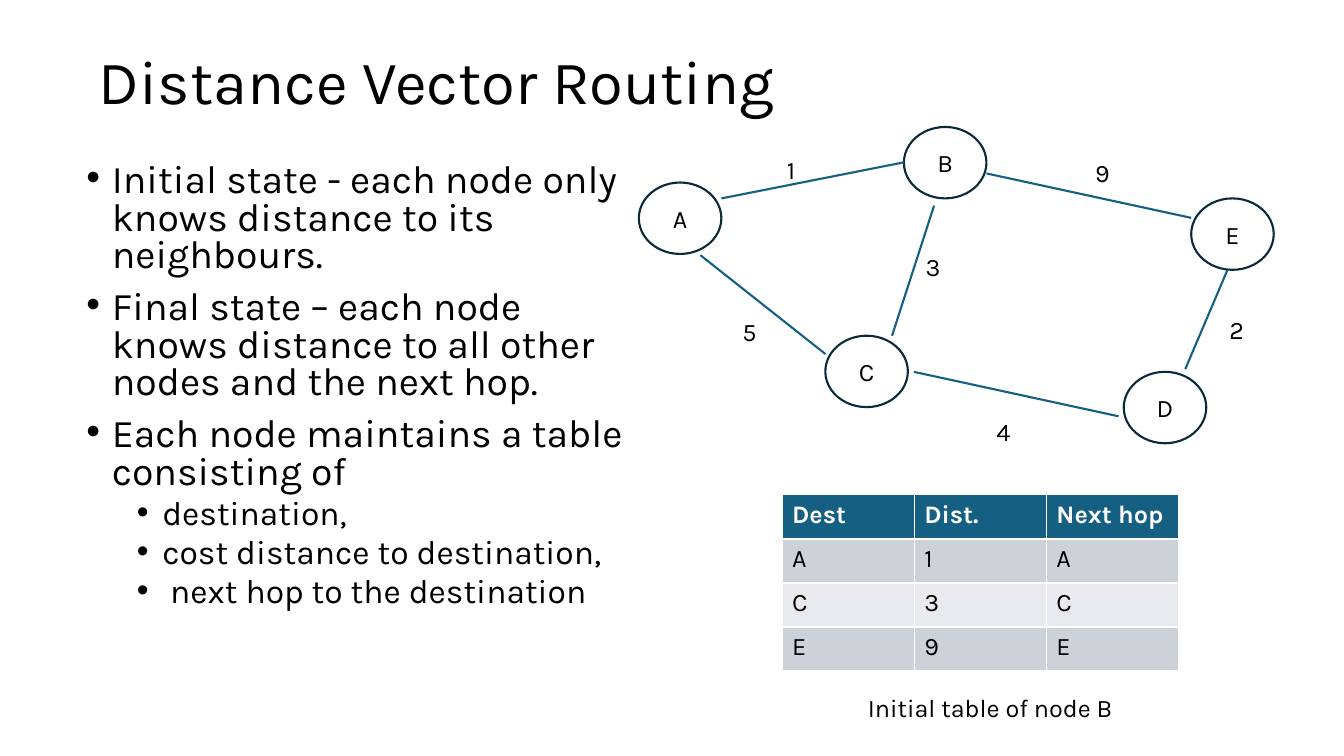
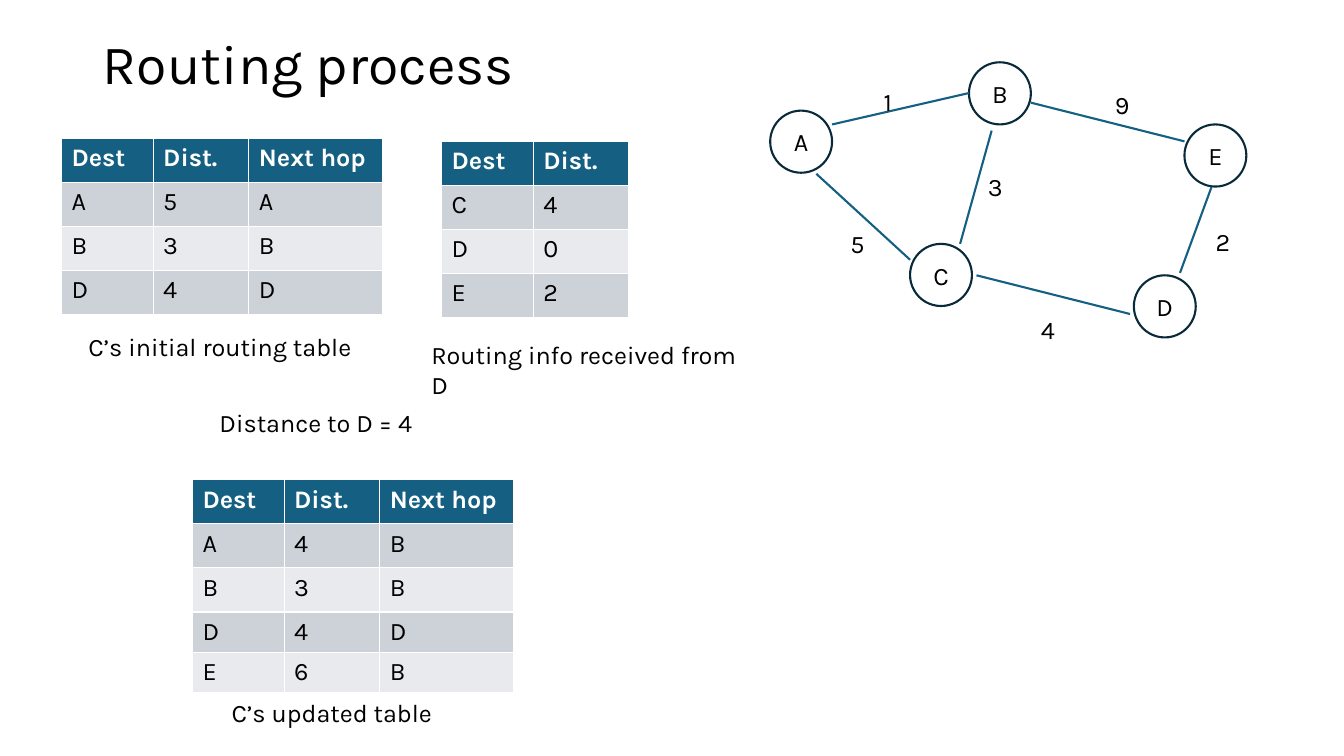
from dataclasses import dataclass

from lxml import etree
from pptx import Presentation
from pptx.dml.color import RGBColor
from pptx.enum.shapes import MSO_CONNECTOR, MSO_SHAPE
from pptx.enum.text import MSO_ANCHOR, MSO_AUTO_SIZE, PP_ALIGN
from pptx.oxml.ns import qn
from pptx.slide import Slide
from pptx.util import Cm, Pt

LINE = MSO_CONNECTOR.STRAIGHT
OVAL = MSO_SHAPE.OVAL
MIDDLE = MSO_ANCHOR.MIDDLE
GROW = MSO_AUTO_SIZE.SHAPE_TO_FIT_TEXT
FIXED = MSO_AUTO_SIZE.NONE
LEFT = PP_ALIGN.LEFT
CENTER = PP_ALIGN.CENTER

FONT = "Karla"
BLACK = "000000"
WHITE = "FFFFFF"
TEAL = "156082"
NAVY = "092A39"
BANDS = ("CCD2D8", "E8EAED")
TITLE_ONLY = 5
SIZE = 18
STROKE = 1.5
ROW = 1.11
LOW_ROW = 1.0
NODE_W, NODE_H = 2.08, 1.8
LABEL_W, LABEL_H = 1.45, 1.02


@dataclass(frozen=True)
class Box:
    left: float
    top: float
    width: float
    height: float

    def cm(self) -> tuple[Cm, Cm, Cm, Cm]:
        return Cm(self.left), Cm(self.top), Cm(self.width), Cm(self.height)


@dataclass(frozen=True)
class Node:
    name: str
    x: float
    y: float


@dataclass(frozen=True)
class Edge:
    cost: str
    x1: float
    y1: float
    x2: float
    y2: float
    text_x: float
    text_y: float


@dataclass(frozen=True)
class Frame:
    left: float
    top: float
    wide: float = 1.0
    high: float = 1.0

    def point(self, x: float, y: float) -> tuple[float, float]:
        return self.left + x * self.wide, self.top + y * self.high

    def box(self, x: float, y: float, width: float, height: float) -> Box:
        return Box(*self.point(x, y), width * self.wide, height * self.high)


@dataclass(frozen=True)
class Grid:
    left: float
    top: float
    widths: tuple[float, ...]
    heights: tuple[float, ...]
    rows: tuple[str, ...]


@dataclass(frozen=True)
class Label:
    text: str
    left: float
    top: float
    width: float


@dataclass(frozen=True)
class Level:
    size: float
    indent: float
    before: float


@dataclass(frozen=True)
class Item:
    text: str
    level: int = 0


@dataclass(frozen=True)
class Page:
    title: str
    box: Box
    size: float
    frame: Frame
    grids: tuple[Grid, ...]
    labels: tuple[Label, ...]
    items: tuple[Item, ...] = ()


NODES = (
    Node("A", 0, 1.4),
    Node("B", 6.68, 0),
    Node("C", 4.7, 5.26),
    Node("E", 13.92, 1.8),
    Node("D", 12.22, 6.17),
)
EDGES = (
    Edge("1", 2.08, 1.8, 6.68, 0.89, 3.48, 0.56),
    Edge("5", 1.55, 3.23, 4.7, 5.72, 2.36, 4.65),
    Edge("3", 7.44, 1.98, 6.38, 5.26, 6.98, 3.02),
    Edge("9", 8.76, 1.17, 13.92, 2.29, 11.25, 0.64),
    Edge("4", 6.93, 6.17, 12.09, 7.29, 8.76, 7.16),
    Edge("2", 14.83, 3.61, 13.77, 6.1, 14.63, 4.6),
)

LEVELS = (Level(28, 0.64, 10), Level(24, 1.91, 5))
BODY = Box(1.93, 3.99, 14.12, 12.09)
HANG = 0.64

HEAD = "Dest|Dist.|Next hop"
EVEN = (3.33, 3.33, 3.33)
SNUG = (2.31, 2.41, 3.38)

PAGES = (
    Page(
        "Distance Vector Routing",
        Box(2.24, 0.3, 29.21, 3.68),
        44,
        Frame(16.1, 3.2),
        (Grid(19.71, 12.47, EVEN, (ROW,) * 4,
              (HEAD, "A|1|A", "C|3|C", "E|9|E")),),
        (Label("Initial table of node B", 21.62, 17.32, 6.91),),
        (
            Item("Initial state - each node only knows distance to its neighbours."),
            Item("Final state – each node knows distance to all other nodes and the next hop."),
            Item("Each node maintains a table consisting of"),
            Item("destination,", 1),
            Item("cost distance to destination,", 1),
            Item(" next hop to the destination", 1),
        ),
    ),
    Page(
        "Routing process",
        Box(2.34, 1.02, 29.21, 1.3),
        39.6,
        Frame(19.41, 1.57, 0.75, 0.87),
        (
            Grid(1.55, 3.48, SNUG, (ROW,) * 4,
                 (HEAD, "A|5|A", "B|3|B", "D|4|D")),
            Grid(11.13, 3.56, SNUG[:2], (ROW,) * 4,
                 ("Dest|Dist.", "C|4", "D|0", "E|2")),
            Grid(4.85, 12.09, SNUG, (ROW,) * 3 + (LOW_ROW,) * 2,
                 (HEAD, "A|4|B", "B|3|B", "D|4|D", "E|6|B")),
        ),
        (
            Label("C’s initial routing table", 1.98, 8.23, 7.21),
            Label("Routing info received from D", 10.62, 8.43, 8.31),
            Label("Distance to D = 4", 5.28, 10.13, 7.21),
            Label("C’s updated table", 5.59, 17.45, 7.21),
        ),
    ),
)


def tint(code: str) -> RGBColor:
    return RGBColor.from_string(code)


def style(para, size: float = SIZE, color: str = BLACK, bold: bool = False) -> None:
    for run in para.runs:
        run.font.name = FONT
        run.font.size = Pt(size)
        run.font.bold = bold
        run.font.color.rgb = tint(color)


def add_title(slide: Slide, page: Page) -> None:
    title = slide.shapes.title
    title.left, title.top, title.width, title.height = page.box.cm()
    frame = title.text_frame
    frame.text = page.title
    frame.auto_size = FIXED
    frame.vertical_anchor = MIDDLE
    para = frame.paragraphs[0]
    para.alignment = LEFT
    para.line_spacing = 0.9
    style(para, page.size)


def add_label(slide: Slide, text: str, box: Box) -> None:
    frame = slide.shapes.add_textbox(*box.cm()).text_frame
    frame.word_wrap = True
    frame.auto_size = GROW
    frame.text = text
    style(frame.paragraphs[0])


def add_list(slide: Slide, items: tuple[Item, ...]) -> None:
    frame = slide.shapes.add_textbox(*BODY.cm()).text_frame
    frame.word_wrap = True
    for index, item in enumerate(items):
        para = frame.add_paragraph() if index else frame.paragraphs[0]
        level = LEVELS[item.level]
        para.text = item.text
        para.level = item.level
        para.line_spacing = 0.8
        para.space_before = Pt(level.before)
        style(para, level.size)
        props = para._p.get_or_add_pPr()
        props.set("marL", str(Cm(level.indent)))
        props.set("indent", str(-Cm(HANG)))
        etree.SubElement(props, qn("a:buFont")).set("typeface", "Arial")
        etree.SubElement(props, qn("a:buChar")).set("char", "•")


def add_node(slide: Slide, name: str, box: Box) -> None:
    oval = slide.shapes.add_shape(OVAL, *box.cm())
    oval.shadow.inherit = False
    oval.fill.background()
    oval.line.color.rgb = tint(NAVY)
    oval.line.width = Pt(STROKE)
    frame = oval.text_frame
    frame.text = name
    frame.vertical_anchor = MIDDLE
    frame.paragraphs[0].alignment = CENTER
    style(frame.paragraphs[0])


def add_edge(slide: Slide, start: tuple[float, float], end: tuple[float, float]) -> None:
    ends = [Cm(value) for value in start + end]
    line = slide.shapes.add_connector(LINE, *ends)
    line.line.color.rgb = tint(TEAL)
    line.line.width = Pt(STROKE)
    etree.SubElement(line._element.spPr, qn("a:effectLst"))


def add_graph(slide: Slide, frame: Frame) -> None:
    for node in NODES:
        add_node(slide, node.name, frame.box(node.x, node.y, NODE_W, NODE_H))
    for edge in EDGES:
        add_edge(slide, frame.point(edge.x1, edge.y1), frame.point(edge.x2, edge.y2))
        add_label(slide, edge.cost,
                  frame.box(edge.text_x, edge.text_y, LABEL_W, LABEL_H))


def add_grid(slide: Slide, grid: Grid) -> None:
    box = Box(grid.left, grid.top, sum(grid.widths), sum(grid.heights))
    table = slide.shapes.add_table(
        len(grid.rows), len(grid.widths), *box.cm()).table
    for col, width in zip(table.columns, grid.widths):
        col.width = Cm(width)
    for index, (row, height, line) in enumerate(
            zip(table.rows, grid.heights, grid.rows)):
        row.height = Cm(height)
        head = index == 0
        for cell, text in zip(row.cells, line.split("|")):
            cell.text = text
            cell.fill.solid()
            cell.fill.fore_color.rgb = tint(TEAL if head else BANDS[(index - 1) % 2])
            style(cell.text_frame.paragraphs[0],
                  color=WHITE if head else BLACK, bold=head)


def main() -> None:
    deck = Presentation()
    deck.slide_width, deck.slide_height = Cm(33.87), Cm(19.05)
    for page in PAGES:
        slide = deck.slides.add_slide(deck.slide_layouts[TITLE_ONLY])
        add_title(slide, page)
        if page.items:
            add_list(slide, page.items)
        add_graph(slide, page.frame)
        for grid in page.grids:
            add_grid(slide, grid)
        for label in page.labels:
            add_label(slide, label.text, Box(label.left, label.top, label.width, LABEL_H))
    deck.save("out.pptx")


if __name__ == "__main__":
    main()
